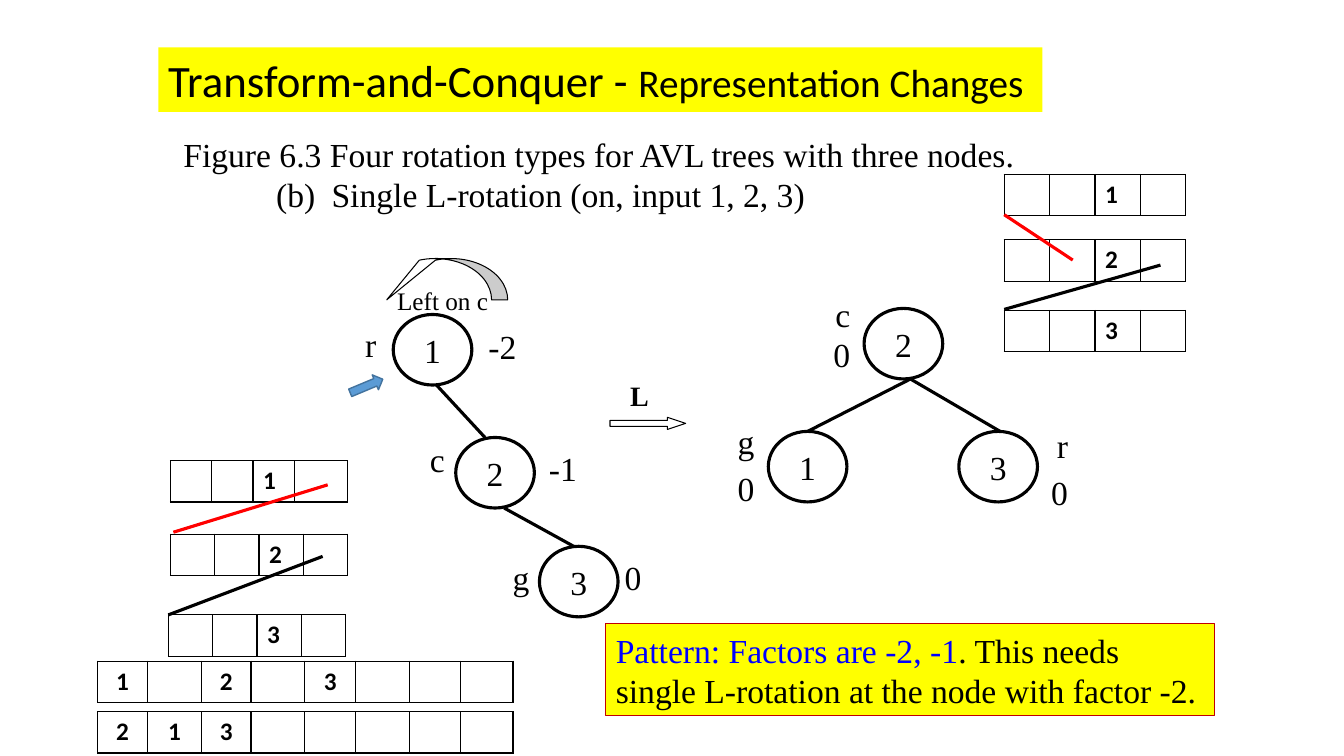
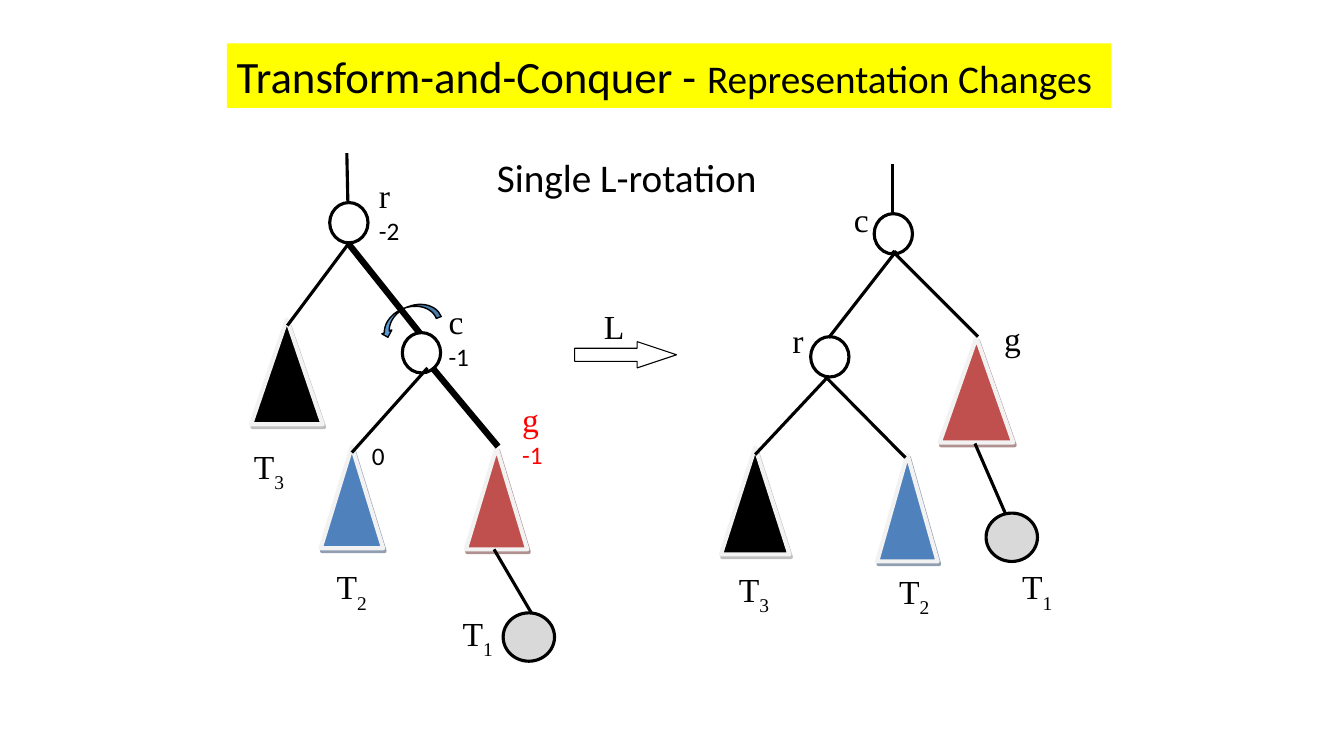
from lxml import etree
from pptx import Presentation
from pptx.dml.color import RGBColor
from pptx.enum.shapes import MSO_CONNECTOR, MSO_SHAPE
from pptx.enum.text import MSO_ANCHOR, PP_ALIGN
from pptx.oxml import parse_xml
from pptx.oxml.ns import nsdecls, qn
from pptx.util import Inches, Pt

BLACK = RGBColor(0x00, 0x00, 0x00)
WHITE = RGBColor(0xFF, 0xFF, 0xFF)
YELLOW = RGBColor(0xFF, 0xFF, 0x00)
RED = RGBColor(0xFF, 0x00, 0x00)
BLUE = RGBColor(0x00, 0x00, 0xFF)
DARK_RED = RGBColor(0xC0, 0x00, 0x00)
ARROW_BLUE = RGBColor(0x5B, 0x9B, 0xD5)
ARROW_EDGE = RGBColor(0x43, 0x73, 0x9E)
TREE_RED = RGBColor(0xC0, 0x50, 0x4D)
TREE_BLUE = RGBColor(0x4F, 0x81, 0xBD)
TREE_EDGE = RGBColor(0xF2, 0xF2, 0xF2)
GREY = RGBColor(0xD9, 0xD9, 0xD9)
SHADOWS = {
    TREE_RED: RGBColor(0x62, 0x24, 0x23),
    TREE_BLUE: RGBColor(0x24, 0x3F, 0x60),
    BLACK: RGBColor(0x7F, 0x7F, 0x7F),
}
SANS, SERIF = "Calibri", "Times New Roman"
LEFT, CENTER, RIGHT = PP_ALIGN.LEFT, PP_ALIGN.CENTER, PP_ALIGN.RIGHT


def write(tf, paragraphs, color=BLACK, bold=False, align=LEFT, wrap=True):
    tf.word_wrap = wrap
    for i, runs in enumerate(paragraphs):
        p = tf.add_paragraph() if i else tf.paragraphs[0]
        p.alignment = align
        for text, size, font in runs:
            r = p.add_run()
            r.text = text
            r.font.size = Pt(size)
            r.font.name = font
            r.font.bold = bold
            r.font.color.rgb = color
    return tf


def draw(s, kind, box, fill, line=None, width=2.25):
    sp = s.shapes.add_shape(kind, *map(Inches, box))
    sp.shadow.inherit = False
    sp.fill.solid()
    sp.fill.fore_color.rgb = fill
    if line is None:
        sp.line.fill.background()
    else:
        sp.line.color.rgb = line
        sp.line.width = Pt(width)
    return sp


prs = Presentation()
prs.slide_width, prs.slide_height = Inches(13.33), Inches(7.5)
s1, s2 = [prs.slides.add_slide(prs.slide_layouts[6]) for _ in range(2)]

for s, x, y in ((s1, 1.57, 0.47), (s2, 2.25, 0.43)):
    sp = draw(s, MSO_SHAPE.RECTANGLE, (x, y, 8.77, 0.64), YELLOW)
    title = [("Transform-and-Conquer - ", 32, SANS), ("Representation Changes", 28, SANS)]
    write(sp.text_frame, [title], wrap=False)

LONG = [0.49, 0.54, 0.49, 0.53, 0.51, 0.53, 0.51, 0.52]
tables = [
    (1.69, 4.57, [0.41, 0.41, 0.41, 0.53], {2: "1"}, LEFT),
    (1.69, 5.3, [0.44] * 4, {2: "2"}, LEFT),
    (1.67, 6.1, [0.44] * 4, {2: "3"}, LEFT),
    (9.96, 1.73, [0.45] * 4, {2: "1"}, LEFT),
    (9.96, 2.38, [0.45] * 4, {2: "2"}, LEFT),
    (9.96, 3.08, [0.45] * 4, {2: "3"}, LEFT),
    (0.97, 6.56, LONG, {0: "1", 2: "2", 4: "3"}, CENTER),
    (0.97, 7.06, LONG, {0: "2", 1: "1", 2: "3"}, CENTER),
]
for x, y, widths, values, align in tables:
    frame = s1.shapes.add_table(1, len(widths), *map(Inches, (x, y, sum(widths), 0.41)))
    table = frame.table
    table.first_row = table.horz_banding = False
    for i, width in enumerate(widths):
        table.columns[i].width = Inches(width)
        cell = table.cell(0, i)
        if i in values:
            write(cell.text_frame, [[(values[i], 18, SANS)]], bold=True, align=align)
        tcPr = cell._tc.get_or_add_tcPr()
        for side in ("lnL", "lnR", "lnT", "lnB"):
            tcPr.append(parse_xml(
                f'<a:{side} {nsdecls("a")} w="12700"><a:solidFill>'
                f'<a:srgbClr val="{BLACK}"/></a:solidFill></a:{side}>'))
        cell.fill.solid()
        cell.fill.fore_color.rgb = WHITE

subtrees = [
    (4.62, 4.44, 0.61, 1.01, TREE_RED),
    (3.18, 4.43, 0.62, 1.01, TREE_BLUE),
    (2.49, 3.17, 0.71, 1.04, BLACK),
    (9.32, 3.35, 0.73, 1.04, TREE_RED),
    (8.7, 4.51, 0.6, 1.06, TREE_BLUE),
    (7.15, 4.44, 0.68, 1.06, BLACK),
]
for *box, fill in subtrees:
    sp = draw(s2, MSO_SHAPE.FLOWCHART_EXTRACT, box, fill, TREE_EDGE, 3)
    sp._element.spPr.find(qn("a:effectLst")).append(parse_xml(
        f'<a:outerShdw {nsdecls("a")} dist="28000" dir="3800000" algn="ctr" rotWithShape="0">'
        f'<a:srgbClr val="{SHADOWS[fill]}"><a:alpha val="50000"/></a:srgbClr></a:outerShdw>'))

nodes = [
    (3.9, 3.12, "1"), (4.52, 4.34, "2"), (5.35, 5.42, "3"),
    (8.57, 3.06, "2"), (7.62, 4.28, "1"), (9.51, 4.28, "3"),
]
for x, y, key in nodes:
    sp = draw(s1, MSO_SHAPE.OVAL, (x, y, 0.78, 0.7), WHITE, BLACK)
    sp.text_frame.vertical_anchor = MSO_ANCHOR.MIDDLE
    write(sp.text_frame, [[(key, 24, SERIF)]], align=CENTER)

for x, y in ((3.27, 2.01), (3.99, 3.3), (8.67, 2.12), (8.04, 3.34)):
    draw(s2, MSO_SHAPE.FLOWCHART_CONNECTOR, (x, y, 0.38, 0.4), WHITE, BLACK)
for x, y in ((4.99, 6.08), (9.78, 5.09)):
    draw(s2, MSO_SHAPE.FLOWCHART_CONNECTOR, (x, y, 0.51, 0.48), GREY, BLACK)

lines = [
    (s1, 4.32, 3.81, 4.81, 4.34, BLACK, 2.25),
    (s1, 5, 5.04, 5.69, 5.42, BLACK, 2.25),
    (s1, 9.03, 3.76, 8.01, 4.28, BLACK, 2.25),
    (s1, 9.03, 3.76, 9.92, 4.28, BLACK, 2.25),
    (s1, 3.25, 4.81, 1.72, 5.28, RED, 2.25),
    (s1, 3.2, 5.52, 1.67, 6.1, BLACK, 2.25),
    (s1, 10.64, 2.58, 9.96, 2.13, RED, 2.25),
    (s1, 11.51, 2.63, 9.96, 3.07, BLACK, 2.25),
    (s2, 3.44, 1.52, 3.45, 2, BLACK, 2.25),
    (s2, 3.47, 2.4, 2.85, 3.23, BLACK, 2.25),
    (s2, 3.45, 2.41, 4.16, 3.3, BLACK, 4.5),
    (s2, 4.24, 3.65, 3.49, 4.49, BLACK, 2.25),
    (s2, 4.29, 3.65, 4.94, 4.43, BLACK, 4.5),
    (s2, 4.9, 5.45, 5.27, 6.08, BLACK, 2.25),
    (s2, 8.85, 1.63, 8.85, 2.12, BLACK, 2.25),
    (s2, 8.89, 2.49, 8.22, 3.35, BLACK, 2.25),
    (s2, 8.85, 2.49, 9.7, 3.34, BLACK, 2.25),
    (s2, 8.22, 3.73, 7.49, 4.51, BLACK, 2.25),
    (s2, 8.21, 3.76, 8.98, 4.54, BLACK, 2.25),
    (s2, 9.67, 4.4, 9.97, 5.09, BLACK, 2.25),
]
for s, x1, y1, x2, y2, color, width in lines:
    line = s.shapes.add_connector(MSO_CONNECTOR.STRAIGHT, *map(Inches, (x1, y1, x2, y2)))
    line.line.color.rgb = color
    line.line.width = Pt(width)
    etree.SubElement(line._element.spPr, qn("a:effectLst"))

for s, box in ((s1, (6.05, 4.14, 0.75, 0.12)), (s2, (5.7, 3.39, 1.01, 0.26))):
    sp = draw(s, MSO_SHAPE.RIGHT_ARROW, box, WHITE, BLACK, 0.75)
    sp.adjustments[0], sp.adjustments[1] = 0.5, 1.5

turn = draw(s1, MSO_SHAPE.CURVED_RIGHT_ARROW, (4.19, 2.13, 0.41, 1.28), WHITE, BLACK, 0.75)
turn.rotation = 90
for i, value in enumerate((0.39, 0.39, 0.96)):
    turn.adjustments[i] = value

pointer = draw(s1, MSO_SHAPE.RIGHT_ARROW, (3.46, 3.75, 0.35, 0.16), ARROW_BLUE, ARROW_EDGE, 1)
pointer.rotation = 337.3

turn = draw(s2, MSO_SHAPE.CURVED_DOWN_ARROW, (3.74, 3.05, 0.62, 0.21), ARROW_BLUE, BLACK, 1)
turn.rotation = 338.8
turn._element.spPr.get_or_add_xfrm().set("flipH", "1")

tf = s1.shapes.add_textbox(*map(Inches, (1.72, 1.28, 8.52, 0.91))).text_frame
write(tf, [
    [("Figure 6.3 Four rotation types for AVL trees with three nodes.", 24, SERIF)],
    [("(b)\tSingle L-rotation (on, input 1, 2, 3)", 24, SERIF)],
])
pPr = tf.paragraphs[1]._p.get_or_add_pPr()
pPr.set("marL", str(Inches(1.47)))
pPr.set("indent", str(Inches(-0.55)))

sp = draw(s1, MSO_SHAPE.RECTANGLE, (6.01, 6.19, 6.04, 0.91), YELLOW, DARK_RED, 0.75)
write(sp.text_frame, [[
    ("Pattern: Factors are -2, -1", 24, SERIF),
    (". This needs single L-rotation at the node with factor -2.", 24, SERIF),
]])
sp.text_frame.paragraphs[0].runs[0].font.color.rgb = BLUE

node_labels = [
    (3.44, 3.16, 0.39, "r"), (4.12, 4.31, 0.39, "c"), (4.96, 5.48, 0.39, "g"),
    (4.7, 3.18, 0.52, "-2"), (5.32, 4.39, 0.5, "-1"), (6.07, 5.48, 0.39, "0"),
    (8.14, 2.87, 0.39, "c"), (7.19, 4.13, 0.39, "g"), (10.3, 4.17, 0.39, "r"),
    (8.14, 3.26, 0.39, "0"), (7.19, 4.59, 0.39, "0"), (10.3, 4.63, 0.39, "0"),
]
for x, y, w, text in node_labels:
    tf = s1.shapes.add_textbox(*map(Inches, (x, y, w, 0.5))).text_frame
    write(tf, [[(text, 24, SERIF)]], align=RIGHT)

captions = [
    (s1, (6.15, 3.71, 0.39, 0.44), "L", 20, SERIF, True),
    (s1, (3.84, 2.78, 1.11, 0.4), "Left on c", 18, SERIF, False),
    (s2, (5.89, 2.99, 0.41, 0.5), "L", 24, SERIF, False),
    (s2, (4.83, 1.47, 2.85, 0.57), "Single L-rotation", 28, SANS, False),
    (s2, (3.59, 4.32, 0.38, 0.4), "0", 18, SANS, False),
    (s2, (9.86, 3.1, 0.44, 0.5), "g", 24, SERIF, False),
    (s2, (8.37, 1.92, 0.44, 0.5), "c", 24, SERIF, False),
    (s2, (7.76, 3.12, 0.32, 0.5), "r", 24, SERIF, False),
]
for s, box, text, size, font, bold in captions:
    tf = s.shapes.add_textbox(*map(Inches, box)).text_frame
    write(tf, [[(text, size, font)]], bold=bold, wrap=False)

factors = [
    (3.66, 1.69, 0.56, "r", "-2", BLACK),
    (4.35, 2.94, 0.52, "c", "-1", BLACK),
    (5.08, 3.91, 0.52, "g", "-1", RED),
]
for x, y, w, name, factor, color in factors:
    tf = s2.shapes.add_textbox(*map(Inches, (x, y, w, 0.81))).text_frame
    write(tf, [[(name, 24, SERIF)], [(factor, 18, SANS)]], color)

subtree_labels = [
    (4.49, 6.03, "1"), (3.24, 5.57, "2"), (2.42, 4.37, "3"),
    (10.04, 5.57, "1"), (8.82, 5.61, "2"), (7.23, 5.59, "3"),
]
for x, y, number in subtree_labels:
    tf = s2.shapes.add_textbox(*map(Inches, (x, y, 0.6, 0.5))).text_frame
    write(tf, [[("T", 24, SERIF), (number, 24, SERIF)]])
    tf.paragraphs[0].runs[1]._r.get_or_add_rPr().set("baseline", "-30000")

prs.save("out.pptx")
